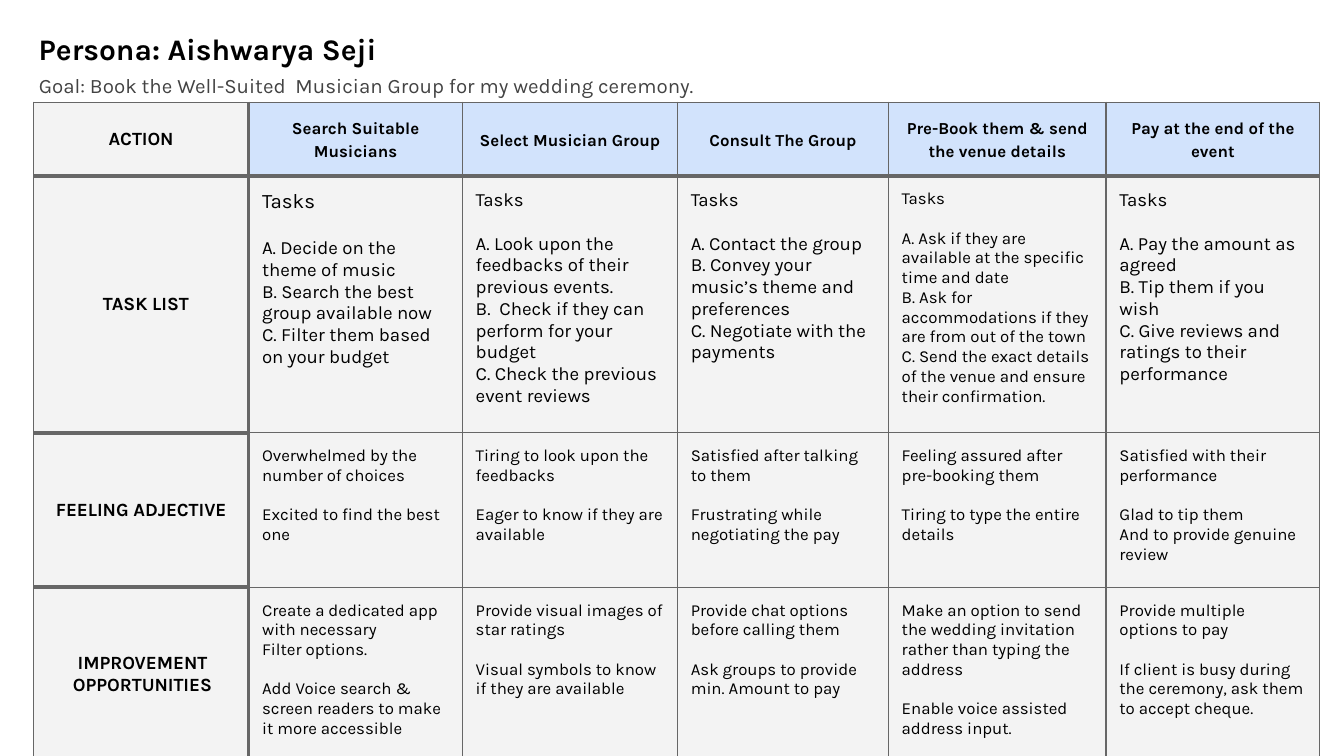
from lxml import etree
from pptx import Presentation
from pptx.dml.color import RGBColor
from pptx.enum import text
from pptx.oxml.ns import qn
from pptx.util import Inches, Pt

FONT = "Karla"
COLORS = {"ink": "000000", "goal": "434343", "rule": "666666",
          "step": "D2E3FC", "body": "F3F3F3"}
THIN, THICK = 0.75, 2.25
LINE_HEIGHT = 1.17  # height of a Karla line relative to its size

PERSONA = "Persona: Aishwarya Seji"
GOAL = "Goal: Book the Well-Suited  Musician Group for my wedding ceremony."

STEPS = ["Search Suitable Musicians", "Select Musician Group", "Consult The Group",
         "Pre-Book them & send the venue details", "Pay at the end of the event"]

# One entry per step: (heading size, task size, tasks)
TASKS = [
    (11, 10, ["A. Decide on the theme of music",
              "B. Search the best group available now",
              "C. Filter them based on your budget"]),
    (10, 10, ["A. Look upon the feedbacks of their previous events.",
              "B.  Check if they can perform for your budget",
              "C. Check the previous event reviews"]),
    (10, 10, ["A. Contact the group",
              "B. Convey your music’s theme and preferences",
              "C. Negotiate with the payments"]),
    (9, 9, ["A. Ask if they are available at the specific time and date",
            "B. Ask for accommodations if they are from out of the town",
            "C. Send the exact details of the venue and ensure their confirmation."]),
    (10, 10, ["A. Pay the amount as agreed",
              "B. Tip them if you wish",
              "C. Give reviews and ratings to their performance"]),
]

# One entry per step: two groups of paragraphs
FEELINGS = [
    (["Overwhelmed by the number of choices"], ["Excited to find the best one"]),
    (["Tiring to look upon the feedbacks"], ["Eager to know if they are available"]),
    (["Satisfied after talking to them"], ["Frustrating while negotiating the pay"]),
    (["Feeling assured after pre-booking them"], ["Tiring to type the entire details"]),
    (["Satisfied with their performance"],
     ["Glad to tip them", "And to provide genuine review"]),
]
IMPROVEMENTS = [
    (["Create a dedicated app with necessary", "Filter options."],
     ["Add Voice search & screen readers to make it more accessible"]),
    (["Provide visual images of star ratings"],
     ["Visual symbols to know if they are available"]),
    (["Provide chat options before calling them"],
     ["Ask groups to provide min. Amount to pay"]),
    (["Make an option to send the wedding invitation rather than typing the address"],
     ["Enable voice assisted address input."]),
    (["Provide multiple options to pay"],
     ["If client is busy during the ceremony, ask them to accept cheque."]),
]

# Row label, row height, left margin of the label cell
ROWS = [("ACTION", 0.55, 0.1), ("TASK LIST", 1.91, 0.17),
        ("FEELING ADJECTIVE", 1.15, 0.1), ("IMPROVEMENT OPPORTUNITIES", 1.3, 0.12)]
COLUMN_WIDTHS = [1.6, 1.59, 1.6, 1.57, 1.62, 1.59]


def style(paragraph, size, color="ink", bold=False):
    font = paragraph.font
    font.name, font.size, font.bold = FONT, Pt(size), bold
    font.color.rgb = RGBColor.from_string(COLORS[color])


def set_margins(holder, left=0.1):
    holder.margin_left = Inches(left)
    holder.margin_right = holder.margin_top = holder.margin_bottom = Inches(0.1)


def add_line(slide, words, left, top, width, height, size, **look):
    frame = slide.shapes.add_textbox(*map(Inches, (left, top, width, height))).text_frame
    frame.word_wrap = True
    set_margins(frame)
    frame.text = words
    style(frame.paragraphs[0], size, **look)


def frame_cell(cell, row, col):
    """Border a cell; thick rules set off the step row and the label column."""
    label = col == 0
    widths = {"L": THICK if col == 1 else THIN,
              "R": THICK if label else THIN,
              "T": THICK if row == 1 or (label and row > 0) else THIN,
              "B": THICK if row == 0 or (label and row < len(ROWS) - 1) else THIN}
    properties = cell._tc.get_or_add_tcPr()
    for side, width in widths.items():
        line = etree.SubElement(properties, qn(f"a:ln{side}"), w=str(Pt(width)))
        fill = etree.SubElement(line, qn("a:solidFill"))
        etree.SubElement(fill, qn("a:srgbClr"), val=COLORS["rule"])
    cell.fill.solid()
    color = "step" if row == 0 and not label else "body"
    cell.fill.fore_color.rgb = RGBColor.from_string(COLORS[color])


def write_heading(cell, words, size, spacing=None):
    cell.vertical_anchor = text.MSO_ANCHOR.MIDDLE
    cell.text = words
    paragraph = cell.text_frame.paragraphs[0]
    paragraph.alignment = text.PP_ALIGN.CENTER
    if spacing:
        paragraph.line_spacing = spacing
    style(paragraph, size, bold=True)


def write_groups(cell, groups):
    """Write (size, paragraphs) groups, set apart by one line of the first group."""
    frame = cell.text_frame
    gap = Pt(round(groups[0][0] * LINE_HEIGHT, 1))
    for index, (size, lines) in enumerate(groups):
        for number, words in enumerate(lines):
            first = index == number == 0
            paragraph = frame.paragraphs[0] if first else frame.add_paragraph()
            paragraph.text = words
            if index and number == 0:
                paragraph.space_before = gap
            style(paragraph, size)


def add_journey(slide):
    heights = [height for _, height, _ in ROWS]
    table = slide.shapes.add_table(
        len(ROWS), len(COLUMN_WIDTHS), Inches(0.25), Inches(0.76),
        Inches(sum(COLUMN_WIDTHS)), Inches(sum(heights))).table
    table.first_row = table.horz_banding = False
    for column, width in zip(table.columns, COLUMN_WIDTHS):
        column.width = Inches(width)
    for table_row, height in zip(table.rows, heights):
        table_row.height = Inches(height)

    task_groups = [[(head, ["Tasks"]), (size, tasks)] for head, size, tasks in TASKS]
    note_groups = [[[(9, lines) for lines in groups] for groups in notes]
                   for notes in (FEELINGS, IMPROVEMENTS)]
    body = [task_groups, *note_groups]

    for row, (label, _, label_margin) in enumerate(ROWS):
        for col in range(len(COLUMN_WIDTHS)):
            cell = table.cell(row, col)
            set_margins(cell, label_margin if col == 0 else 0.1)
            frame_cell(cell, row, col)
            if col == 0:
                write_heading(cell, label, 10)
            elif row == 0:
                write_heading(cell, STEPS[col - 1], 9, spacing=1.15)
            else:
                write_groups(cell, body[row - 1][col - 1])


def main():
    deck = Presentation()
    deck.slide_width = Inches(10)
    deck.slide_height = deck.slide_width * 9 // 16
    slide = deck.slides.add_slide(deck.slide_layouts[6])
    add_line(slide, PERSONA, 0.19, 0.13, 4.1, 0.44, 16, bold=True)
    add_line(slide, GOAL, 0.19, 0.45, 9.28, 0.3, 11, color="goal")
    add_journey(slide)
    deck.save("out.pptx")


if __name__ == "__main__":
    main()
